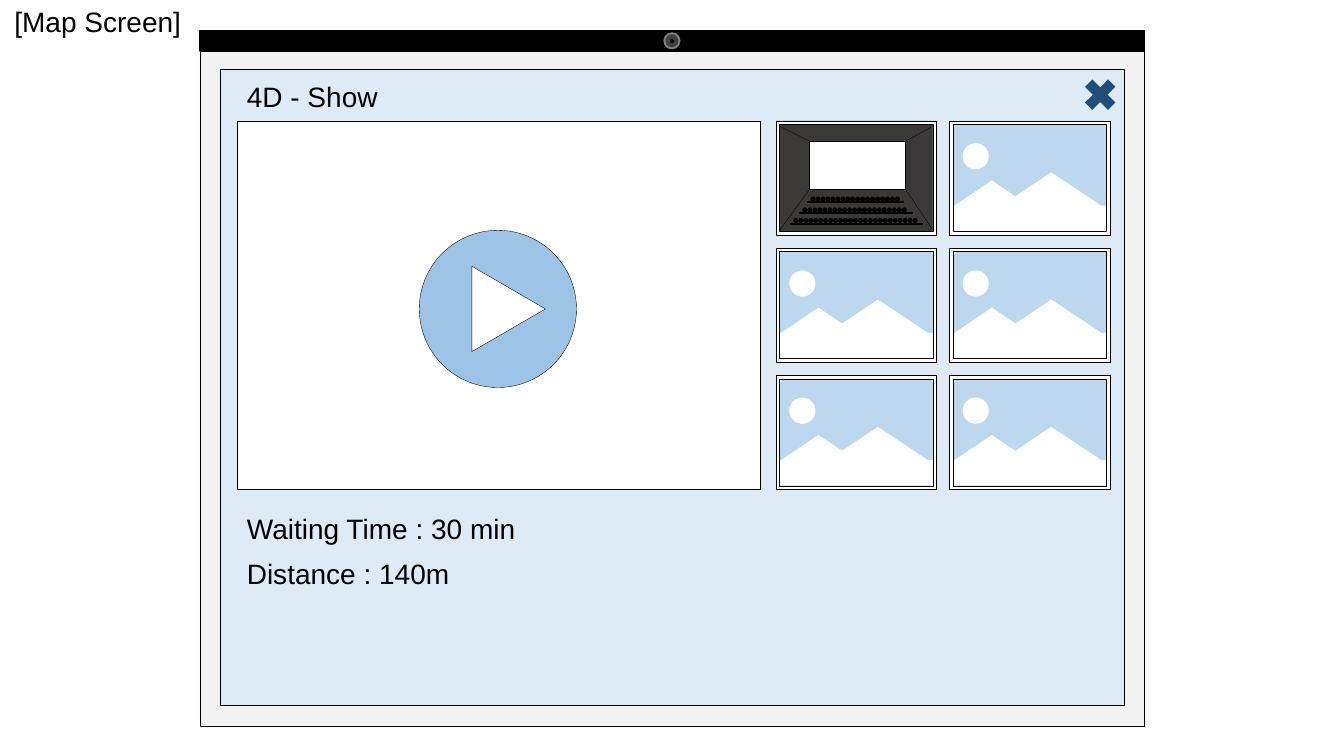
from dataclasses import dataclass
from itertools import product

from lxml.etree import SubElement
from pptx import Presentation
from pptx.dml.color import RGBColor
from pptx.enum.shapes import MSO_CONNECTOR, MSO_SHAPE
from pptx.enum.text import MSO_AUTO_SIZE, PP_ALIGN
from pptx.oxml.ns import qn
from pptx.util import Pt


@dataclass(frozen=True)
class Theme:
    font: str = "Arial"
    text_size: float = 20
    thin: float = 0.25
    black: str = "000000"
    white: str = "FFFFFF"
    casing: str = "F2F2F2"
    screen: str = "DEEBF7"
    sky: str = "BDD7EE"
    play: str = "9DC3E6"
    close: str = "1F4E79"
    lens_rim: str = "808080"
    lens: str = "404040"
    hall: str = "3B3838"
    bench: str = "C00000"


THEME = Theme()
CARD_WIDTH, CARD_HEIGHT = 114.48, 81.36
CARD_LEFT, CARD_TOP = 554.4, 86.4
COLUMN_STEP, ROW_STEP = 123.84, 90.9
SEAT_ROWS = [
    (18, 24.48, 54, 22.32, 68.4),
    (21, 18.72, 61.74, 16.56, 80.64),
    (25, 12.24, 69.3, 10.08, 94.32),
]
SEAT_SIZE, SEAT_STEP, BENCH_DROP = 3.6, 3.55, 3.6


def add_figure(shapes, kind, left, top, width, height, fill, line=None, rotation=0):
    figure = shapes.add_shape(kind, Pt(left), Pt(top), Pt(width), Pt(height))
    figure.shadow.inherit = False
    figure.rotation = rotation
    figure.fill.solid()
    figure.fill.fore_color.rgb = RGBColor.from_string(fill)
    if line is None:
        figure.line.fill.background()
    else:
        figure.line.color.rgb = RGBColor.from_string(THEME.black)
        figure.line.width = Pt(line)
    return figure


def add_disc(shapes, center_x, center_y, size, fill, line=None):
    add_figure(shapes, MSO_SHAPE.OVAL, center_x - size / 2, center_y - size / 2,
               size, size, fill, line)


def add_edge(shapes, start, end):
    edge = shapes.add_connector(MSO_CONNECTOR.STRAIGHT, *(Pt(value) for value in start + end))
    edge.line.color.rgb = RGBColor.from_string(THEME.black)
    edge.line.width = Pt(THEME.thin)
    SubElement(edge._element.spPr, qn("a:effectLst"))


def add_text(shapes, text, *, left, top, width, height=31.5, align=PP_ALIGN.LEFT):
    box = shapes.add_textbox(Pt(left), Pt(top), Pt(width), Pt(height))
    box.text_frame.word_wrap = True
    box.text_frame.auto_size = MSO_AUTO_SIZE.SHAPE_TO_FIT_TEXT
    para = box.text_frame.paragraphs[0]
    para.alignment = align
    span = para.add_run()
    span.text = text
    span.font.name = THEME.font
    span.font.size = Pt(THEME.text_size)
    span.font.color.rgb = RGBColor.from_string(THEME.black)


def add_frame(shapes, left, top):
    frame = add_figure(shapes, MSO_SHAPE.FRAME, left, top, CARD_WIDTH, CARD_HEIGHT,
                       THEME.white, THEME.thin)
    frame.adjustments[0] = 0.03


def add_tablet(page):
    shapes = page.shapes.add_group_shape().shapes
    add_figure(shapes, MSO_SHAPE.RECTANGLE, 142.8, 36.72, 674.64, 481.68,
               THEME.casing, THEME.thin)
    add_figure(shapes, MSO_SHAPE.RECTANGLE, 142.8, 21.9, 674.64, 14.6, THEME.black, 1)
    for size, fill in [(12.24, THEME.lens_rim), (9.36, THEME.lens), (2.88, THEME.black)]:
        add_disc(shapes, 480, 29.16, size, fill)


def add_landscape(page, left, top):
    shapes = page.shapes.add_group_shape().shapes
    add_figure(shapes, MSO_SHAPE.RECTANGLE, left, top, CARD_WIDTH, CARD_HEIGHT,
               THEME.sky, THEME.thin)
    for kind, x, y, width, height in [
        (MSO_SHAPE.ISOSCELES_TRIANGLE, 2.52, 42.48, 55.44, 18.72),
        (MSO_SHAPE.ISOSCELES_TRIANGLE, 36, 36.72, 73.44, 24.48),
        (MSO_SHAPE.OVAL, 9.36, 15.84, 18.72, 18.72),
        (MSO_SHAPE.RECTANGLE, 2.52, 60.48, 110.16, 18),
    ]:
        add_figure(shapes, kind, left + x, top + y, width, height, THEME.white)
    add_frame(shapes, left, top)


def add_theater(page, left, top):
    shapes = page.shapes.add_group_shape().shapes
    add_figure(shapes, MSO_SHAPE.RECTANGLE, left, top, CARD_WIDTH, CARD_HEIGHT,
               THEME.hall, THEME.thin)
    add_figure(shapes, MSO_SHAPE.RECTANGLE, left + 23.76, top + 14.4, 68.76, 34.56,
               THEME.white, THEME.thin)
    for (inner_x, outer_x), (inner_y, outer_y) in product(
            [(23.76, 2.2), (92.52, 112.3)], [(14.4, 3.6), (48.96, 78.5)]):
        add_edge(shapes, (left + inner_x, top + inner_y), (left + outer_x, top + outer_y))
    for seats, seat_left, seat_top, bench_left, bench_width in SEAT_ROWS:
        add_figure(shapes, MSO_SHAPE.RECTANGLE, left + bench_left,
                   top + seat_top + BENCH_DROP, bench_width, 0.72, THEME.bench, THEME.thin)
        for seat in range(seats):
            add_figure(shapes, MSO_SHAPE.OVAL, left + seat_left + seat * SEAT_STEP,
                       top + seat_top, SEAT_SIZE, SEAT_SIZE, THEME.black)
    add_frame(shapes, left, top)


def add_gallery(page):
    for row, column in product(range(3), range(2)):
        add_card = add_theater if row == column == 0 else add_landscape
        add_card(page, CARD_LEFT + column * COLUMN_STEP, CARD_TOP + row * ROW_STEP)


def add_player(page):
    add_figure(page.shapes, MSO_SHAPE.RECTANGLE, 169.2, 86.4, 373.68, 262.8,
               THEME.white, THEME.thin)
    add_disc(page.shapes, 355.68, 220.68, 112.32, THEME.play, THEME.thin)
    add_figure(page.shapes, MSO_SHAPE.ISOSCELES_TRIANGLE, 332.8, 194.4, 61, 52.56,
               THEME.white, THEME.thin, rotation=90)


def main():
    deck = Presentation()
    deck.slide_width, deck.slide_height = Pt(960), Pt(540)
    page = deck.slides.add_slide(deck.slide_layouts[6])
    add_tablet(page)
    add_text(page.shapes, "[Map Screen]", left=0, top=0, width=139.7, align=PP_ALIGN.CENTER)
    add_figure(page.shapes, MSO_SHAPE.RECTANGLE, 157.2, 49.68, 645.84, 454.32,
               THEME.screen, THEME.thin)
    add_player(page)
    for text, top in [("4D - Show", 53.28), ("Waiting Time : 30 min", 362.16),
                      ("Distance : 140m", 393.84)]:
        add_text(page.shapes, text, left=169.2, top=top, width=421.2)
    add_figure(page.shapes, MSO_SHAPE.MATH_MULTIPLY, 770.04, 51.84, 31.68, 31.68, THEME.close)
    add_gallery(page)
    deck.save("out.pptx")


if __name__ == "__main__":
    main()
